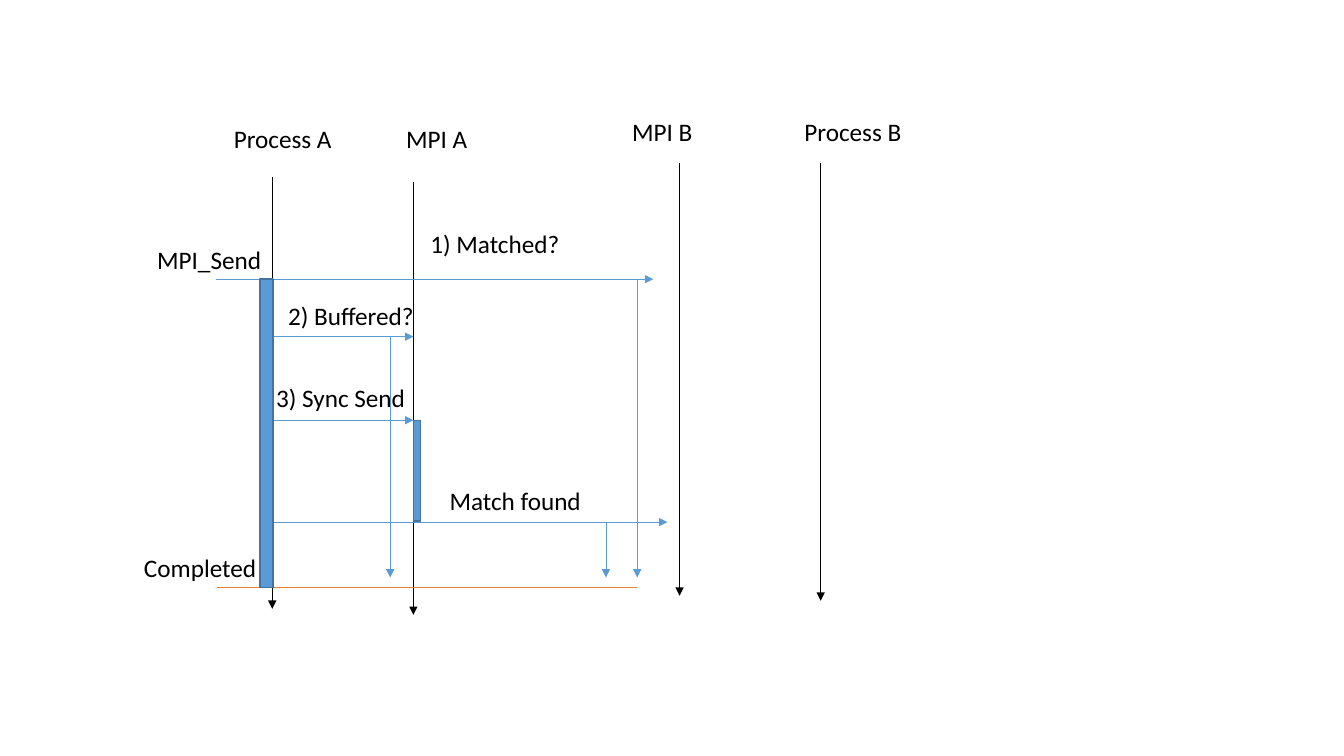
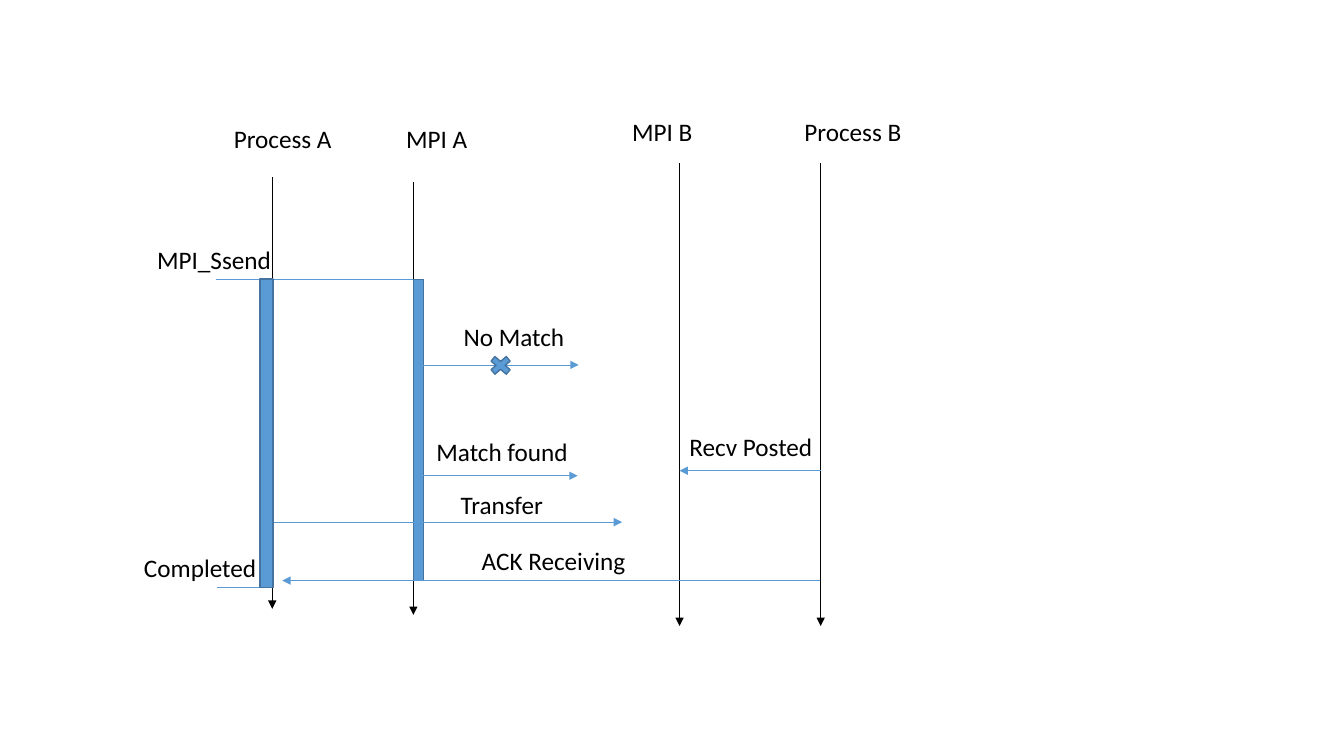
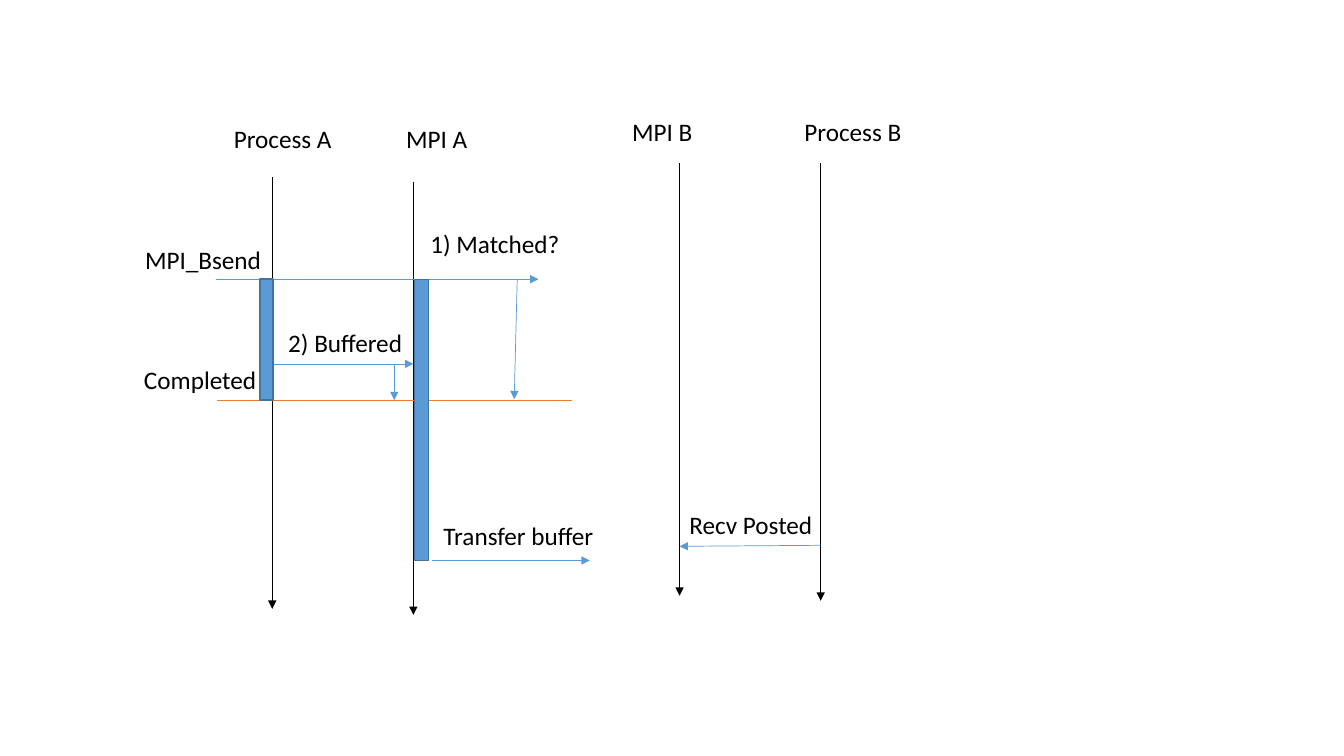
"""Draw sequence diagrams of three MPI send modes, at 100 px to the inch."""
from collections import namedtuple
from lxml.etree import SubElement
from pptx import Presentation
from pptx.dml.color import RGBColor
from pptx.enum.shapes import MSO_CONNECTOR as Connector, MSO_SHAPE as Preset
from pptx.enum.text import MSO_AUTO_SIZE as AutoSize
from pptx.oxml.ns import qn
from pptx.util import Pt

PX = 9144
SLIDE_SIZE = 1333, 750
THEME = {
    "font": "Calibri", "text_size": 18, "black": "000000",
    "blue": "5B9BD5", "outline": "43739E", "orange": "ED7D31",
    "line_width": 0.5, "outline_width": 1, "label_height": 40,
}

Label = namedtuple("Label", "text x y width")
Line = namedtuple("Line", "x1 y1 x2 y2 color head", defaults=("blue", True))
Block = namedtuple("Block", "x y width height preset", defaults=(Preset.RECTANGLE,))

PROCESS_A, MPI_A, MPI_B, PROCESS_B = 270, 410, 674, 814
CALL_Y, MARK_X, BAR_X, BAR_WIDTH = 277, 215, 258, 13

HEADINGS = [
    Label("Process A", 222, 117, 118), Label("MPI A", 393, 117, 81),
    Label("MPI B", 617, 110, 81), Label("Process B", 788, 110, 117),
]
LIFELINE_TOPS = [(PROCESS_A, 176), (MPI_A, 181), (MPI_B, 162), (PROCESS_B, 162)]

DIAGRAMS = [
    {
        "call": ("MPI_Send", 146, 125), "call_end": PROCESS_A,
        "done": 583, "done_end": 632, "done_color": "orange",
        "bottoms": (604, 610, 591, 596),
        "parts": [
            Label("1) Matched?", 417, 222, 150),
            Label("2) Buffered?", 276, 293, 147),
            Label("3) Sync Send", 264, 374, 150),
            Label("Match found", 436, 477, 152),
            Line(BAR_X, CALL_Y, 648, CALL_Y),
            Line(PROCESS_A, 334, MPI_A, 334),
            Line(PROCESS_A, 417, MPI_A, 417),
            Block(MPI_A, 417, 7, 100),
            Line(PROCESS_A, 518, 662, 518),
            Line(632, CALL_Y, 632, 573),
            Line(601, 518, 601, 573),
            Line(387, 334, 387, 573),
        ],
    },
    {
        "call": ("MPI_Ssend", 146, 134), "call_end": MPI_A,
        "done": 583, "done_end": 271, "done_color": "blue",
        "bottoms": (604, 610, 621, 621),
        "parts": [
            Label("Transfer", 447, 481, 103),
            Label("Recv Posted", 674, 423, 143),
            Label("No Match", 450, 314, 121),
            Label("ACK Receiving", 468, 536, 164),
            Label("Match found", 423, 428, 152),
            Block(MPI_A, CALL_Y, 10, 299),
            Line(PROCESS_A, 518, 617, 518),
            Line(PROCESS_B, 467, MPI_B, 467),
            Line(420, 362, 574, 362),
            Block(482, 350, 29, 25, Preset.MATH_MULTIPLY),
            Line(813, 576, 280, 576),
            Line(419, 472, 573, 472),
        ],
    },
    {
        "call": ("MPI_Bsend", 134, 136), "call_end": PROCESS_A,
        "done": 397, "done_end": 567, "done_color": "orange",
        "bottoms": (604, 610, 591, 596),
        "parts": [
            Label("1) Matched?", 417, 222, 150),
            Label("2) Buffered", 276, 320, 135),
            Label("Recv Posted", 674, 500, 143),
            Label("Transfer buffer", 430, 511, 171),
            Line(BAR_X, CALL_Y, 534, CALL_Y),
            Line(PROCESS_A, 361, MPI_A, 361),
            Block(411, CALL_Y, 14, 279),
            Line(428, 556, 585, 556),
            Line(PROCESS_B, 541, MPI_B, 542),
            Line(391, 361, 391, 397),
            Line(513, CALL_Y, 510, 396),
        ],
    },
]


def to_emu(*lengths):
    return [length * PX for length in lengths]


def theme_color(name):
    return RGBColor.from_string(THEME[name])


def add_label(slide, label):
    box = slide.shapes.add_textbox(*to_emu(label.x, label.y, label.width, THEME["label_height"]))
    frame = box.text_frame
    frame.word_wrap = False
    frame.auto_size = AutoSize.SHAPE_TO_FIT_TEXT
    run = frame.paragraphs[0].add_run()
    run.text = label.text
    for name, value in {"name": THEME["font"], "size": Pt(THEME["text_size"])}.items():
        setattr(run.font, name, value)
    run.font.color.rgb = theme_color("black")


def add_line(slide, line):
    ends = to_emu(line.x1, line.y1, line.x2, line.y2)
    connector = slide.shapes.add_connector(Connector.STRAIGHT, *ends)
    connector.line.color.rgb = theme_color(line.color)
    connector.line.width = Pt(THEME["line_width"])
    if line.head:
        SubElement(connector.line._get_or_add_ln(), qn("a:tailEnd"), type="triangle")
    SubElement(connector._element.spPr, qn("a:effectLst"))


def add_block(slide, block):
    shape = slide.shapes.add_shape(block.preset, *to_emu(*block[:4]))
    shape.shadow.inherit = False
    shape.fill.solid()
    shape.fill.fore_color.rgb = theme_color("blue")
    shape.line.color.rgb = theme_color("outline")
    shape.line.width = Pt(THEME["outline_width"])


DRAW = {Label: add_label, Line: add_line, Block: add_block}


def diagram_parts(diagram):
    call, call_x, call_width = diagram["call"]
    done, height = diagram["done"], THEME["label_height"]
    lifelines = [
        Line(x, top, x, bottom, "black")
        for (x, top), bottom in zip(LIFELINE_TOPS, diagram["bottoms"])
    ]
    return [
        *HEADINGS, *lifelines,
        Label(call, call_x, CALL_Y - height, call_width),
        Line(214, CALL_Y, diagram["call_end"], CALL_Y, head=False),
        Label("Completed", 133, done - height, 133),
        Line(diagram["done_end"], done, MARK_X, done, diagram["done_color"], False),
        *diagram["parts"],
        Block(BAR_X, CALL_Y, BAR_WIDTH, done - CALL_Y),
    ]


def main():
    presentation = Presentation()
    presentation.slide_width, presentation.slide_height = to_emu(*SLIDE_SIZE)
    for diagram in DIAGRAMS:
        slide = presentation.slides.add_slide(presentation.slide_layouts[6])
        for part in diagram_parts(diagram):
            DRAW[type(part)](slide, part)
    presentation.save("out.pptx")


if __name__ == "__main__":
    main()
